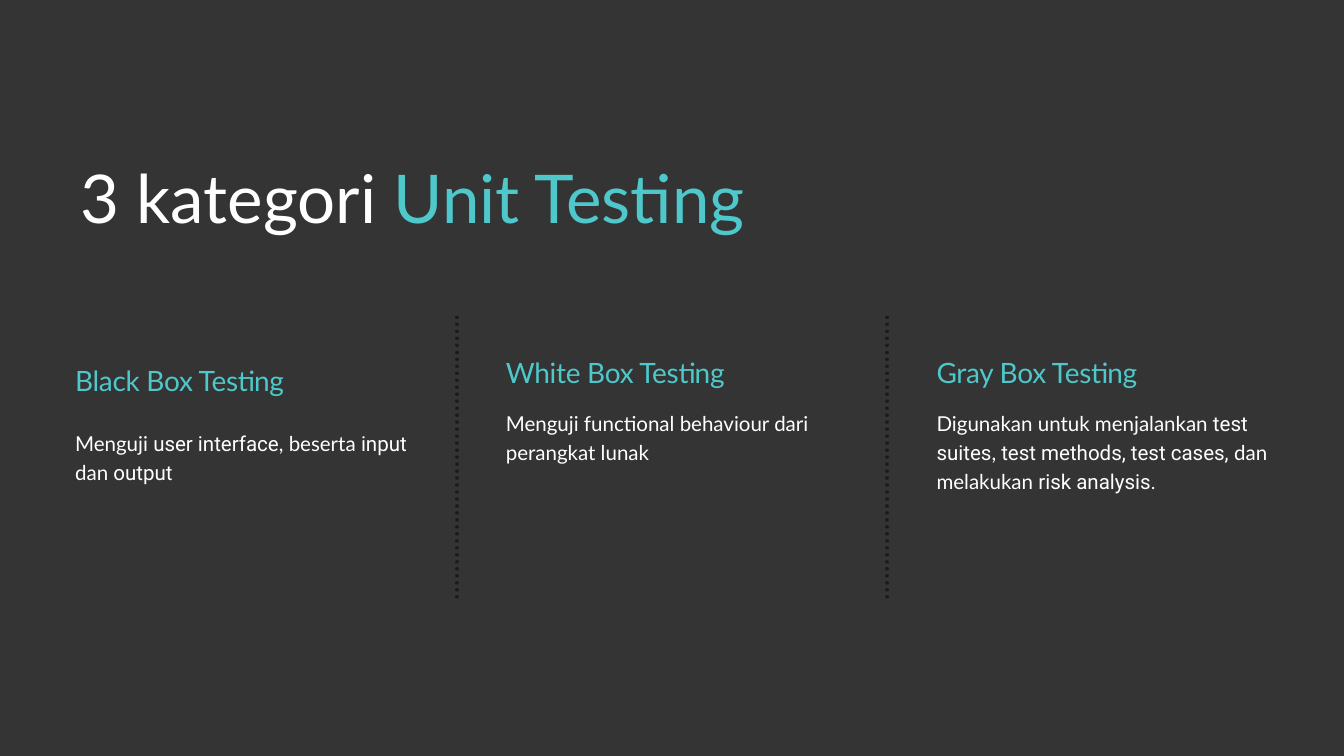
from lxml import etree
from pptx import Presentation
from pptx.dml.color import RGBColor
from pptx.enum.dml import MSO_LINE
from pptx.enum.shapes import MSO_CONNECTOR
from pptx.enum.text import MSO_AUTO_SIZE
from pptx.oxml.ns import qn
from pptx.util import Cm, Pt

STRAIGHT = MSO_CONNECTOR.STRAIGHT
DOTTED = MSO_LINE.ROUND_DOT
GROW = MSO_AUTO_SIZE.SHAPE_TO_FIT_TEXT

DARK = RGBColor(0x34, 0x34, 0x34)
BLACK = RGBColor(0x1B, 0x1B, 0x1B)
WHITE = RGBColor(0xFF, 0xFF, 0xFF)
TEAL = RGBColor(0x4E, 0xC8, 0xCA)

LATO = {"name": "Lato"}
ROBOTO = {"name": "Roboto"}

COLUMN_LEFT, COLUMN_STEP, COLUMN_WIDTH = 2.84, 16.28, 12.55
DIVIDER_LEFT, DIVIDER_STEP = 17.27, 16.26

# Heading, heading top, body top, body height, body runs
COLUMNS = [
    ("Black Box Testing", 13.74, 16.15, 2.11, [
        ("Menguji ", LATO), ("user interface", ROBOTO), (", beserta ", LATO),
        ("input", ROBOTO), (" dan ", LATO), ("output", ROBOTO)]),
    ("White Box Testing", 13.44, 15.39, 2.11, [
        ("Menguji functional behaviour dari perangkat lunak", LATO)]),
    ("Gray Box Testing", 13.44, 15.39, 3.18, [
        ("Digunakan untuk menjalankan ", LATO), ("test suites", ROBOTO),
        (",", LATO), (" test methods, test cases,", ROBOTO),
        (" dan melakukan ", LATO), ("risk analysis.", ROBOTO)]),
]


class Deck:
    """Current slide and the text styles used on it."""

    styles = {
        "title": {"size": Pt(72), "leading": Pt(86.4), "color": WHITE},
        "heading": {"size": Pt(30), "leading": Pt(36), "color": TEAL, "tracking": -30},
        "body": {"size": Pt(22), "leading": Pt(30.8), "color": WHITE},
    }

    def __init__(self, slide):
        self.slide = slide

    def background(self, color):
        fill = self.slide.background.fill
        fill.solid()
        fill.fore_color.rgb = color

    def text(self, style, left, top, width, height, runs):
        """Add one paragraph; each run is (text, format values)."""
        look = self.styles[style]
        sp = self.slide.shapes.add_textbox(Cm(left), Cm(top), Cm(width), Cm(height))
        tf = sp.text_frame
        frame = {"margin_left": 0, "margin_top": 0, "margin_right": 0,
                 "margin_bottom": 0, "word_wrap": True, "auto_size": GROW}
        for key, value in frame.items():
            setattr(tf, key, value)
        p = tf.paragraphs[0]
        p.line_spacing = look["leading"]
        for text, values in runs:
            r = p.add_run()
            r.text = text
            values = {"size": look["size"], "color": look["color"], **values}
            r.font.color.rgb = values.pop("color")
            for key, value in values.items():
                setattr(r.font, key, value)
            if "tracking" in look:
                r._r.get_or_add_rPr().set("spc", str(look["tracking"]))

    def divider(self, x, start, end):
        line = self.slide.shapes.add_connector(
            STRAIGHT, Cm(x), Cm(start), Cm(x), Cm(end))
        line.line.color.rgb = BLACK
        line.line.width = Pt(3.75)
        line.line.dash_style = DOTTED
        line.line._get_or_add_ln().set("cap", "rnd")
        etree.SubElement(line._element.spPr, qn("a:effectLst"))


def main():
    prs = Presentation()
    prs.slide_width, prs.slide_height = Cm(50.8), Cm(28.58)
    deck = Deck(prs.slides.add_slide(prs.slide_layouts[6]))
    deck.background(DARK)
    deck.text("title", 3.05, 5.92, 30.56, 3.07, [
        ("3 kategori ", LATO), ("Unit Testing", {**LATO, "color": TEAL})])
    for i, (heading, heading_top, body_top, body_height, body) in enumerate(COLUMNS):
        left = COLUMN_LEFT + i * COLUMN_STEP
        deck.text("body", left, body_top, COLUMN_WIDTH, body_height, body)
        deck.text("heading", left, heading_top, COLUMN_WIDTH, 1.27, [(heading, LATO)])
    for i in range(len(COLUMNS) - 1):
        deck.divider(DIVIDER_LEFT + i * DIVIDER_STEP, 22.56, 11.99)
    prs.save("out.pptx")


if __name__ == "__main__":
    main()
